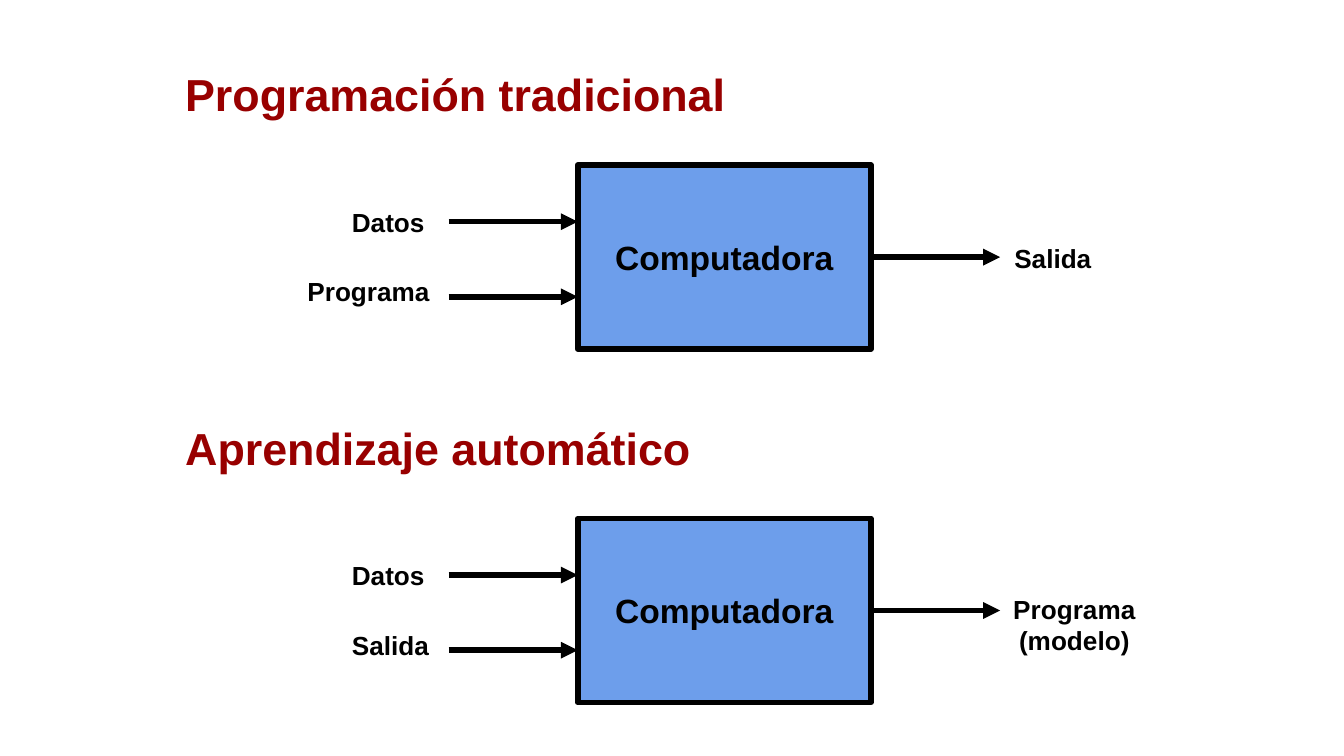
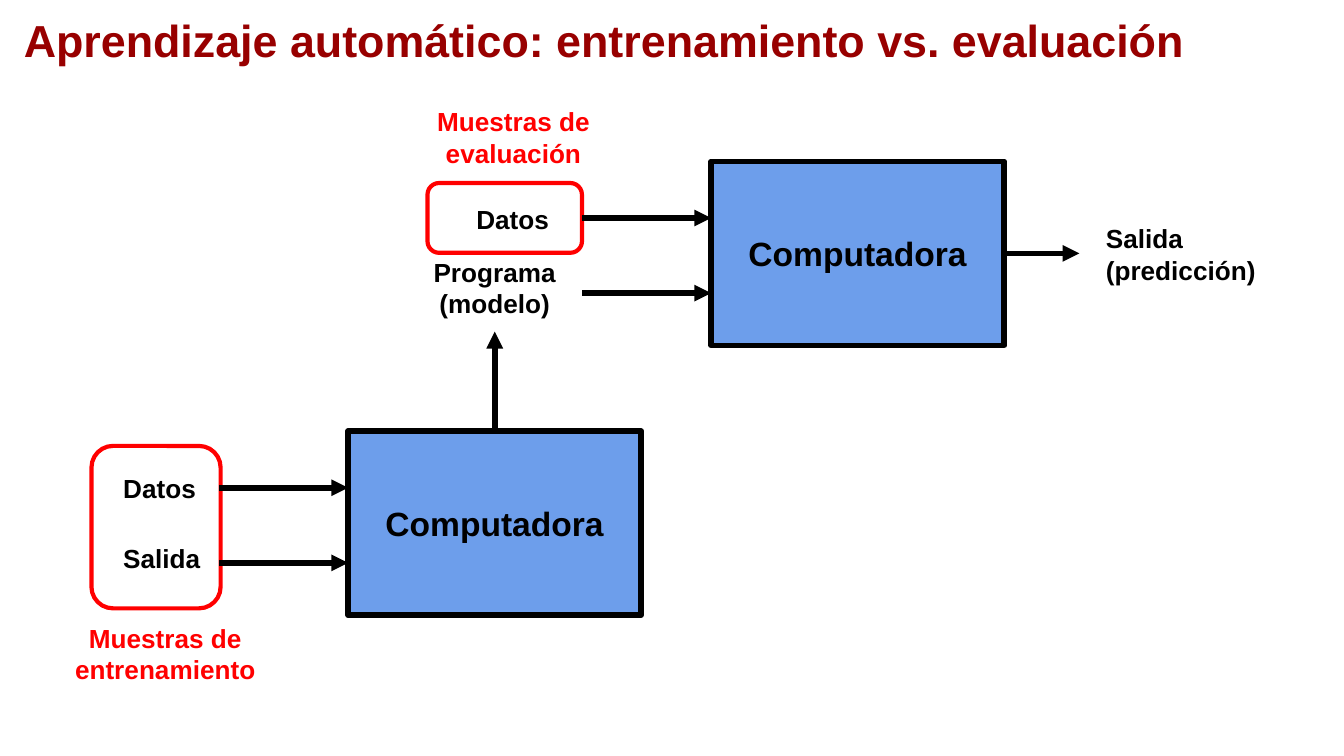
import pptx
import pptx.util
import pptx.dml.color
import pptx.enum.shapes
import pptx.enum.text
import pptx.oxml
import pptx.oxml.ns
import lxml.etree

Cm = pptx.util.Cm
Pt = pptx.util.Pt
Kind = pptx.enum.shapes.MSO_SHAPE
Align = pptx.enum.text.PP_ALIGN
Anchor = pptx.enum.text.MSO_ANCHOR
COLORS = {"title": "980000", "computer": "6D9EEB", "ink": "000000", "sample": "FF0000"}
RGB = {name: pptx.dml.color.RGBColor.from_string(code) for name, code in COLORS.items()}

TOP, LEFT, RIGHT = 0, 1, 3
COMPUTER_W, COMPUTER_H = 5.54, 3.48
LABEL_W, LABEL_H = 2.06, 1.32
ARROW = 2.44
INPUT_ARROWS = (1.07, 2.49)
INPUT_LABELS = (0.41, 1.73)


def write(slide, text, left, top, width, height=LABEL_H, size=14, color="ink",
          align=Align.LEFT, anchor=Anchor.MIDDLE, fill=None):
    """Place bold text, in an outlined rectangle when a fill is given."""
    box = Cm(left), Cm(top), Cm(width), Cm(height)
    if fill:
        place = slide.shapes.add_shape(Kind.RECTANGLE, *box)
        place.shadow.inherit = False
        place.fill.solid()
        place.fill.fore_color.rgb = RGB[fill]
        place.line.color.rgb = RGB["ink"]
        place.line.width = Pt(3)
    else:
        place = slide.shapes.add_textbox(*box)
    frame = place.text_frame
    frame.word_wrap = True
    frame.vertical_anchor = anchor
    frame.margin_left = frame.margin_right = Cm(0.25)
    frame.margin_top = frame.margin_bottom = Cm(0.25)
    frame.text = text
    for paragraph in frame.paragraphs:
        paragraph.alignment = align
        for run in paragraph.runs:
            run.font.name = "Arial"
            run.font.size = Pt(size)
            run.font.bold = True
            run.font.color.rgb = RGB[color]
    return place


def draw_arrow(slide, x1, y1, x2, y2, source=None, side=RIGHT):
    """Draw an arrow, joined to the source's side when there is one."""
    arrow = slide.shapes.add_connector(
        pptx.enum.shapes.MSO_CONNECTOR.STRAIGHT, Cm(x1), Cm(y1), Cm(x2), Cm(y2))
    if source is not None:
        arrow.begin_connect(source, side)
    arrow.line.color.rgb = RGB["ink"]
    arrow.line.width = Pt(3)
    line = arrow.line._get_or_add_ln()
    lxml.etree.SubElement(line, pptx.oxml.ns.qn("a:tailEnd"), type="triangle")
    lxml.etree.SubElement(arrow._element.spPr, pptx.oxml.ns.qn("a:effectLst"))


deck = pptx.Presentation()
deck.slide_width, deck.slide_height = Cm(25.4), Cm(14.29)
comparison = deck.slides.add_slide(deck.slide_layouts[6])
phases = deck.slides.add_slide(deck.slide_layouts[6])

# Titles
for slide, title, left, top, width in (
    (comparison, "Programación tradicional", 3.25, 1.02, 14.2),
    (comparison, "Aprendizaje automático", 3.25, 7.7, 14.2),
    (phases, "Aprendizaje automático: entrenamiento vs. evaluación", 0.2, 0, 25.2),
):
    write(slide, title, left, top, width, 1.65, size=24, color="title", anchor=Anchor.TOP)

# Red frames around the samples
sample_frames = []
for left, top, width, height in ((1.73, 8.43, 2.44, 3.07), (8.08, 3.46, 2.92, 1.32)):
    sample_frame = phases.shapes.add_shape(
        Kind.ROUNDED_RECTANGLE, Cm(left), Cm(top), Cm(width), Cm(height))
    sample_frame.shadow.inherit = False
    sample_frame.fill.background()
    sample_frame.line.color.rgb = RGB["sample"]
    sample_frame.line.width = Pt(2.25)
    sample_frames.append(sample_frame)
evaluation_frame = sample_frames[1]

# Sample captions
for caption, left, top, height in (
    ("Muestras de entrenamiento", 1.07, 11.51, 3.07),
    ("Muestras de evaluación", 7.65, 1.75, 1.73),
):
    write(phases, caption, left, top, 4.11, height, color="sample",
          align=Align.CENTER, anchor=Anchor.TOP)

# Computers with two input arrows and one output arrow
for slide, left, top, output_side, output_length, data_frame in (
    (comparison, 10.92, 3.12, RIGHT, ARROW, None),
    (comparison, 10.92, 9.8, RIGHT, ARROW, None),
    (phases, 13.44, 3.05, RIGHT, 1.42, evaluation_frame),
    (phases, 6.58, 8.15, TOP, 1.88, None),
):
    computer = write(slide, "Computadora", left, top, COMPUTER_W, COMPUTER_H,
                     size=18, align=Align.CENTER, fill="computer")
    for offset, source in zip(INPUT_ARROWS, (data_frame, None)):
        draw_arrow(slide, left - ARROW, top + offset, left, top + offset, source)
    if output_side == RIGHT:
        x, y = left + COMPUTER_W, top + COMPUTER_H / 2
        draw_arrow(slide, x, y, x + output_length, y, computer, RIGHT)
    else:
        x = left + COMPUTER_W / 2
        draw_arrow(slide, x, top, x, top - output_length, computer, TOP)

# Input labels, stacked beside their computer
for slide, top, inputs in (
    (comparison, 3.12, (("Datos", 6.4, LABEL_W), ("Programa", 5.56, 2.9))),
    (comparison, 9.8, (("Datos", 6.4, LABEL_W), ("Salida", 6.4, LABEL_W))),
    (phases, 8.15, (("Datos", 2.08, LABEL_W), ("Salida", 2.08, LABEL_W))),
):
    for offset, (label, left, width) in zip(INPUT_LABELS, inputs):
        write(slide, label, left, top + offset, width)

# Evaluation inputs and output labels
for slide, label, left, top, width, align in (
    (comparison, "Salida", 18.92, 4.22, LABEL_W, Align.LEFT),
    (comparison, "Programa\n(modelo)", 18.69, 11.15, 3.23, Align.CENTER),
    (phases, "Datos", 8.38, 3.48, 2.62, Align.CENTER),
    (phases, "Programa\v(modelo)", 7.9, 4.78, 2.9, Align.CENTER),
    (phases, "Salida\n(predicción)", 20.65, 4.14, 4.11, Align.LEFT),
):
    write(slide, label, left, top, width, align=align)

deck.save("out.pptx")
